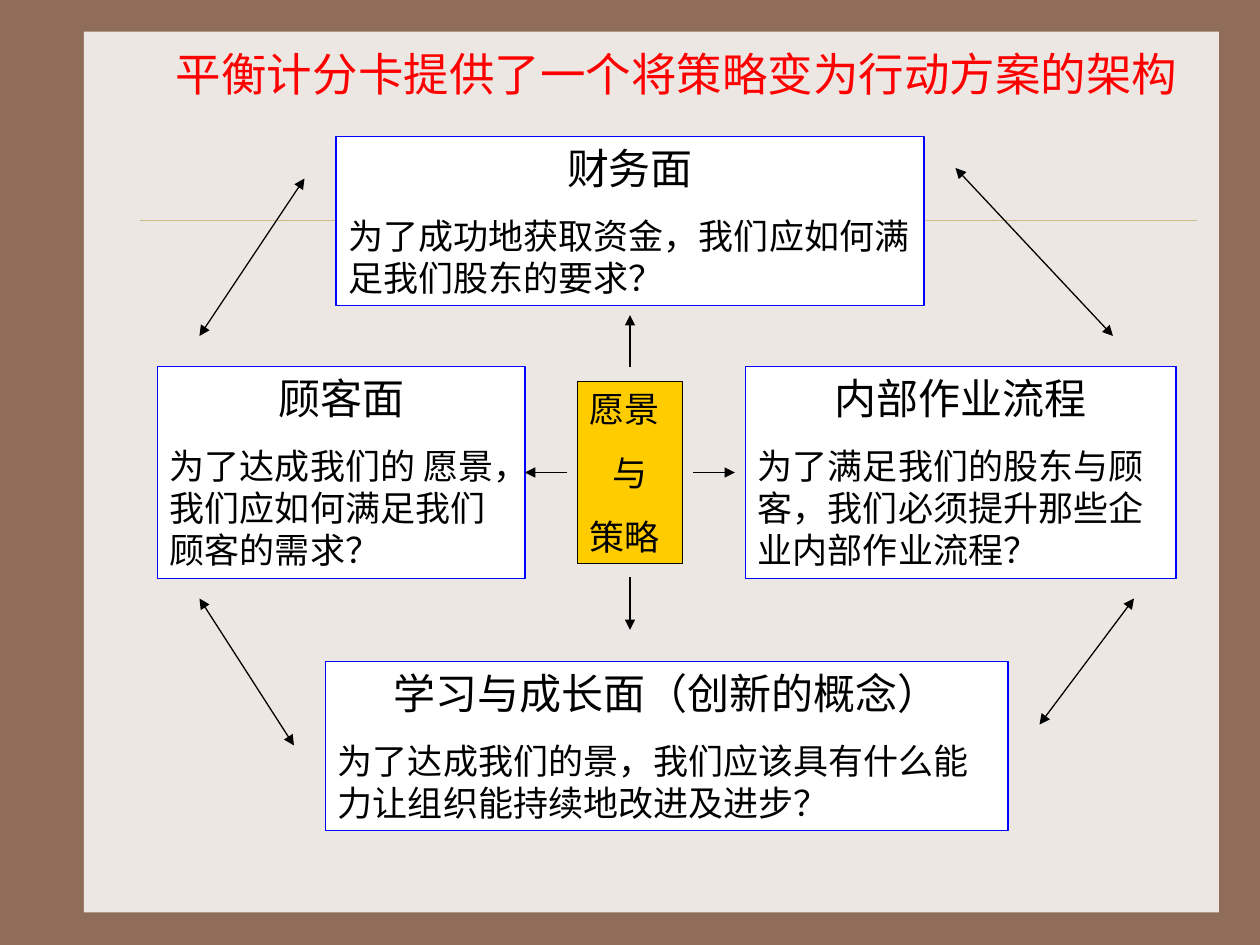
from lxml import etree
from pptx import Presentation
from pptx.dml.color import RGBColor
from pptx.enum import shapes, text
from pptx.oxml import ns
from pptx.util import Inches, Pt

COLORS = {"frame": "906D58", "panel": "EDE7E3", "rule": "CBBD83", "title": "FF0000",
          "card": "FFFFFF", "border": "0000FF", "core": "FFCC00", "ink": "000000"}
FONT = "Times New Roman"
LEFT, CENTER = text.PP_ALIGN.LEFT, text.PP_ALIGN.CENTER

deck = Presentation()
deck.slide_width, deck.slide_height = Inches(10), Inches(7.5)
COLUMN, ROW = deck.slide_width / 120, deck.slide_height / 90
page = deck.slides.add_slide(deck.slide_layouts[5])
page.background.fill.solid()
page.background.fill.fore_color.rgb = RGBColor.from_string(COLORS["frame"])


def add_box(left, top, width, height, fill, border, paragraphs):
    box = page.shapes.add_shape(shapes.MSO_SHAPE.RECTANGLE, int(left * COLUMN), int(top * ROW),
                                int(width * COLUMN), int(height * ROW))
    box.shadow.inherit = False
    box.fill.solid()
    box.fill.fore_color.rgb = RGBColor.from_string(COLORS[fill])
    if border:
        box.line.color.rgb = RGBColor.from_string(COLORS[border])
        box.line.width = Pt(0.75)
    else:
        box.line.fill.background()
    frame = box.text_frame
    frame.word_wrap = True
    frame.vertical_anchor = text.MSO_ANCHOR.TOP
    if paragraphs:
        frame.auto_size = text.MSO_AUTO_SIZE.SHAPE_TO_FIT_TEXT
    for index, (words, size, align) in enumerate(paragraphs):
        para = frame.add_paragraph() if index else frame.paragraphs[0]
        para.text = words
        para.alignment = align
        if index:
            para.space_before = Pt(12.5)
        para.font.size, para.font.name = Pt(size), FONT
        para.font.color.rgb = RGBColor.from_string(COLORS["ink"])


def add_line(start, end, color, width, ends=()):
    line = page.shapes.add_connector(shapes.MSO_CONNECTOR.STRAIGHT,
                                     int(start[0] * COLUMN), int(start[1] * ROW),
                                     int(end[0] * COLUMN), int(end[1] * ROW))
    line.line.color.rgb = RGBColor.from_string(COLORS[color])
    line.line.width = Pt(width)
    for end_name in ends:
        etree.SubElement(line.line._get_or_add_ln(), ns.qn(f"a:{end_name}"), type="triangle")
    etree.SubElement(line._element.spPr, ns.qn("a:effectLst"))


add_box(8, 3, 108.1, 83.9, "panel", None, [])
add_line((13.3, 21), (114, 21), "rule", 0.25)

title = page.shapes.title
page.shapes._spTree.append(title._element)
title.left, title.top = int(14 * COLUMN), 0
title.width, title.height = int(101 * COLUMN), int(14 * ROW)
title.text_frame.text = "平衡计分卡提供了一个将策略变为行动方案的架构"
title.text_frame.word_wrap = True
title.text_frame.auto_size = text.MSO_AUTO_SIZE.NONE
title.text_frame.vertical_anchor = text.MSO_ANCHOR.MIDDLE
heading = title.text_frame.paragraphs[0]
heading.alignment = CENTER
heading.font.size, heading.font.name = Pt(26), FONT
heading.font.color.rgb = RGBColor.from_string(COLORS["title"])

perspectives = [
    (32, 13, 56, 16.1, "财务面", "为了成功地获取资金，我们应如何满足我们股东的要求？"),
    (15, 34.9, 35, 20.2, "顾客面", "为了达成我们的 愿景，我们应如何满足我们顾客的需求？"),
    (71, 34.9, 41, 20.2, "内部作业流程", "为了满足我们的股东与顾客，我们必须提升那些企业内部作业流程？"),
    (31, 63, 65, 16.1, "学习与成长面（创新的概念）",
     "为了达成我们的景，我们应该具有什么能力让组织能持续地改进及进步？"),
]
for left, top, width, height, name, question in perspectives:
    add_box(left, top, width, height, "card", "border",
            [(name, 24, CENTER), (question, 20, LEFT)])
add_box(55, 36.3, 10, 17.4, "core", "ink",
        [("愿景", 20, LEFT), ("与", 20, CENTER), ("策略", 20, LEFT)])

for start, end in [((19, 57), (28, 71)), ((108, 57), (99, 69)),
                   ((29, 17), (19, 32)), ((91, 16), (106, 32))]:
    add_line(start, end, "ink", 0.75, ("headEnd", "tailEnd"))
for start, end in [((66, 45), (70, 45)), ((54, 45), (50, 45)),
                   ((60, 35), (60, 30)), ((60, 55), (60, 60))]:
    add_line(start, end, "ink", 0.75, ("tailEnd",))

deck.save("out.pptx")
